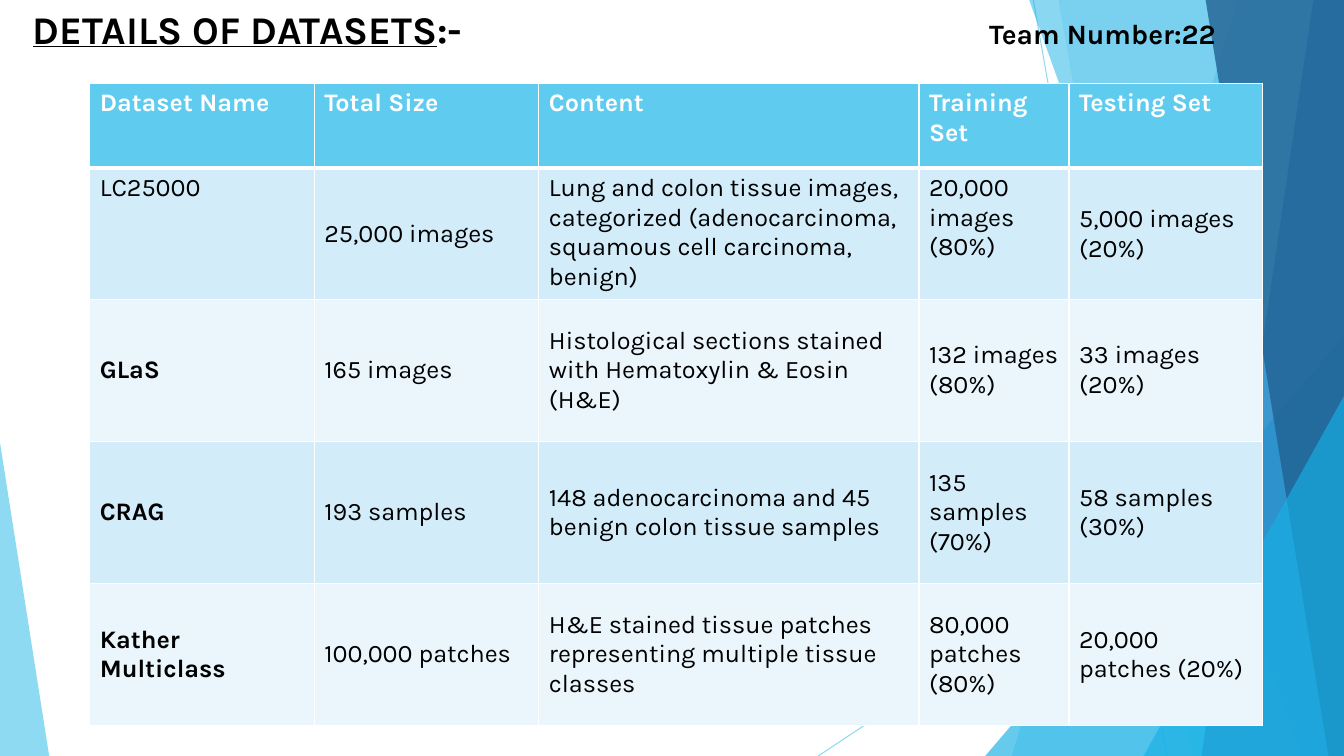
import pptx
import pptx.util
import pptx.dml.color
import pptx.enum.shapes
import pptx.enum.text
import pptx.oxml
import pptx.oxml.ns
from pptx.util import Cm

W, H = 33.87, 19.05
FONT = "Karla"
SKY, AZURE, BLUE, NAVY = "5FCBEF", "17B0E4", "2E83C3", "226292"
WHITE, BLACK = "FFFFFF", "000000"
BANDS = ("D2ECF9", "EAF6FC")
NS = pptx.oxml.ns.nsdecls("a")

COLUMNS = (5.66, 5.66, 9.58, 3.78, 4.88)
HEIGHTS = (2.13, 3.1, 3.58, 3.58, 3.58)
ROWS = (
    ("Dataset Name", "Total Size", "Content", "Training Set", "Testing Set"),
    ("LC25000", "25,000 images",
     "Lung and colon tissue images, categorized (adenocarcinoma, squamous cell carcinoma, benign)",
     "20,000 images (80%)", "5,000 images (20%)"),
    ("GLaS", "165 images",
     "Histological sections stained with Hematoxylin & Eosin (H&E)",
     "132 images (80%)", "33 images (20%)"),
    ("CRAG", "193 samples",
     "148 adenocarcinoma and 45 benign colon tissue samples",
     "135 samples (70%)", "58 samples (30%)"),
    ("Kather Multiclass", "100,000 patches",
     "H&E stained tissue patches representing multiple tissue classes",
     "80,000 patches (80%)", "20,000 patches (20%)"),
)


def rgb(color):
    return pptx.dml.color.RGBColor.from_string(color)


def set_alpha(owner, percent):
    """Make the solid colour inside an XML element translucent."""
    color = owner.find(".//" + pptx.oxml.ns.qn("a:srgbClr"))
    color.append(pptx.oxml.parse_xml(f'<a:alpha {NS} val="{percent * 1000}"/>'))


def paint(sp, color, percent):
    sp.shadow.inherit = False
    sp.fill.solid()
    sp.fill.fore_color.rgb = rgb(color)
    sp.line.fill.background()
    set_alpha(sp._element.spPr, percent)


def add_line(s, x1, y1, x2, y2):
    line = s.shapes.add_connector(pptx.enum.shapes.MSO_CONNECTOR.STRAIGHT,
                                  Cm(x1), Cm(y1), Cm(x2), Cm(y2))
    line.line.width = pptx.util.Pt(0.75)
    line.line.color.rgb = rgb(SKY)
    spPr = line._element.spPr
    set_alpha(spPr, 70)
    spPr.append(pptx.oxml.parse_xml(f"<a:effectLst {NS}/>"))


def add_facet(s, top_x, bottom_x, color, percent):
    """Full-height panel with a slanted left side, reaching the right edge."""
    builder = s.shapes.build_freeform(Cm(top_x), Cm(-0.02))
    builder.add_line_segments([(Cm(W), Cm(-0.02)), (Cm(W), Cm(H)), (Cm(bottom_x), Cm(H))])
    paint(builder.convert_to_shape(), color, percent)


def add_corner(s, x, width, height, apex, color, percent):
    """Triangle standing on the bottom edge."""
    sp = s.shapes.add_shape(pptx.enum.shapes.MSO_SHAPE.ISOSCELES_TRIANGLE,
                            Cm(x), Cm(H - height), Cm(width), Cm(height))
    sp.adjustments[0] = apex
    paint(sp, color, percent)


def add_run(p, text, color=BLACK, size=18, **style):
    r = p.add_run()
    r.text = text
    r.font.color.rgb = rgb(color)
    for key, value in {"name": FONT, "size": pptx.util.Pt(size), **style}.items():
        setattr(r.font, key, value)


def add_heading(s):
    tf = s.shapes.add_textbox(Cm(0.58), Cm(0), Cm(33.27), Cm(2.24)).text_frame
    tf.word_wrap = True
    p = tf.paragraphs[0]
    p._p.get_or_add_pPr().append(pptx.oxml.parse_xml(
        f'<a:tabLst {NS}><a:tab pos="{Cm(24.1)}" algn="l"/></a:tabLst>'))
    add_run(p, "DETAILS OF DATASETS", size=28, bold=True, underline=True)
    add_run(p, ":-\t", size=28, bold=True)
    add_run(p, "Team Number:22", size=20, bold=True)


def set_borders(cell, top, bottom):
    tcPr = cell._tc.get_or_add_tcPr()
    for side, points in zip("LRTB", (1, 1, top, bottom)):
        tcPr.append(pptx.oxml.parse_xml(
            f'<a:ln{side} {NS} w="{pptx.util.Pt(points)}"><a:solidFill>'
            f'<a:srgbClr val="{WHITE}"/></a:solidFill></a:ln{side}>'))


def fill_cell(cell, text, row, col):
    header = row == 0
    set_borders(cell, 3 if row == 1 else 1, 3 if header else 1)
    cell.fill.solid()
    cell.fill.fore_color.rgb = rgb(SKY if header else BANDS[(row - 1) % 2])
    centred = row > 1 or (row == 1 and col in (1, 4))
    anchors = pptx.enum.text.MSO_ANCHOR
    cell.vertical_anchor = anchors.MIDDLE if centred else anchors.TOP
    add_run(cell.text_frame.paragraphs[0], text, WHITE if header else BLACK,
            bold=header or (col == 0 and row > 1))


def add_datasets(s):
    table = s.shapes.add_table(len(ROWS), len(COLUMNS), Cm(2.26), Cm(2.11),
                               Cm(sum(COLUMNS)), Cm(sum(HEIGHTS))).table
    for column, width in zip(table.columns, COLUMNS):
        column.width = Cm(width)
    for i, (texts, height) in enumerate(zip(ROWS, HEIGHTS)):
        table.rows[i].height = Cm(height)
        for j, text in enumerate(texts):
            fill_cell(table.cell(i, j), text, i, j)


def add_backdrop(s):
    add_line(s, 26.04, 0, 29.41, H)
    add_line(s, W, 10.24, 20.62, H)
    add_facet(s, 31.19, 25.5, SKY, 36)
    add_facet(s, 26.67, 30.05, SKY, 20)
    add_corner(s, W - 9.04, 9.04, 10.59, 1, AZURE, 66)
    add_facet(s, 25.93, 32.79, AZURE, 50)
    add_facet(s, 33.1, 30.28, BLUE, 70)
    add_facet(s, 30.38, 33.48, NAVY, 80)
    add_corner(s, W - 5.05, 5.05, 9.07, 1, AZURE, 66)
    add_corner(s, 0, 1.24, 7.9, 0, SKY, 70)


def main():
    prs = pptx.Presentation()
    prs.slide_width, prs.slide_height = Cm(W), Cm(H)
    s = prs.slides.add_slide(prs.slide_layouts[6])
    # Faceted decoration behind the content
    add_backdrop(s)
    # Heading line and dataset table
    add_heading(s)
    add_datasets(s)
    prs.save("out.pptx")


if __name__ == "__main__":
    main()
